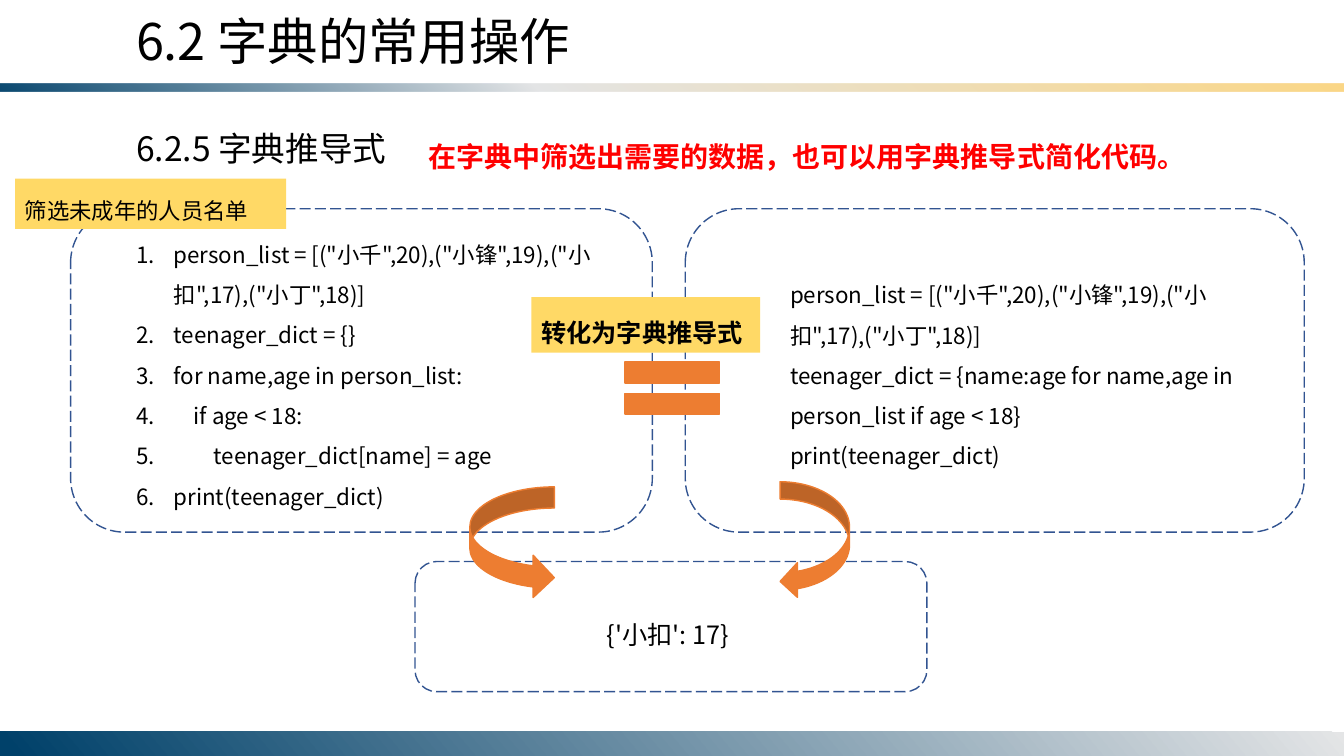
from lxml import etree
from pptx import Presentation
from pptx import util as u
from pptx.dml.color import RGBColor
from pptx.enum import dml, shapes, text
from pptx.oxml.ns import qn

FONT = "Noto Sans CJK SC"
COLORS = {
    "black": "000000",
    "red": "FF0000",
    "outline": "325491",
    "label": "FFD966",
    "accent": "ED7D31",
    "navy": "00416A",
    "grey": "E4E5E6",
    "gold": "FBD786",
}

PEOPLE = 'person_list = [("小千",20),("小锋",19),("小扣",17),("小丁",18)]'
LOOP_CODE = [
    PEOPLE,
    "teenager_dict = {}",
    "for name,age in person_list:",
    "    if age < 18:",
    "        teenager_dict[name] = age",
    "print(teenager_dict)",
]
COMPREHENSION_CODE = [
    PEOPLE,
    "teenager_dict = {name:age for name,age in person_list if age < 18}",
    "print(teenager_dict)",
]


def color(name):
    return RGBColor.from_string(COLORS[name])


def add_shape(page, kind, area, fill=None, line=None):
    shape = page.shapes.add_shape(kind, *map(u.Cm, area))
    shape.shadow.inherit = False
    if fill:
        shape.fill.solid()
        shape.fill.fore_color.rgb = color(fill)
    else:
        shape.fill.background()
    if line:
        shape.line.color.rgb = color(line)
        shape.line.width = u.Pt(1)
    else:
        shape.line.fill.background()
    return shape


def add_gradient_bar(page, area, stops, angle):
    """Each stop is (position %, colour name, opacity %); angle is clockwise."""
    bar = add_shape(page, shapes.MSO_SHAPE.RECTANGLE, area)
    bar.fill.gradient()
    bar.fill.gradient_angle = 360 - angle
    stop_list = next(bar.element.iter(qn("a:gsLst")))
    for old_stop in list(stop_list):
        stop_list.remove(old_stop)
    for position, name, opacity in stops:
        stop = etree.SubElement(stop_list, qn("a:gs"), pos=str(position * 1000))
        shade = etree.SubElement(stop, qn("a:srgbClr"), val=COLORS[name])
        if opacity < 100:
            etree.SubElement(shade, qn("a:alpha"), val=str(opacity * 1000))
    return bar


def add_panel(page, area):
    panel = add_shape(page, shapes.MSO_SHAPE.ROUNDED_RECTANGLE, area, line="outline")
    panel.line.dash_style = dml.MSO_LINE.LONG_DASH


def write_text(box, lines, size, ink="black", bold=False, spacing=1.5,
               first_indent=0, numbered=False):
    frame = box.text_frame
    frame.word_wrap = True
    frame.auto_size = text.MSO_AUTO_SIZE.SHAPE_TO_FIT_TEXT
    frame.vertical_anchor = text.MSO_ANCHOR.TOP
    for index, line in enumerate(lines):
        para = frame.paragraphs[0] if index == 0 else frame.add_paragraph()
        para.add_run().text = line
        para.alignment = text.PP_ALIGN.LEFT
        para.line_spacing = spacing
        properties = para._p.get_or_add_pPr()
        if numbered:
            properties.set("marL", str(u.Cm(0.95)))
            properties.set("indent", str(u.Cm(-0.95)))
            etree.SubElement(properties, qn("a:buFont"), typeface="+mj-lt")
            etree.SubElement(properties, qn("a:buAutoNum"), type="arabicPeriod")
        elif first_indent:
            properties.set("indent", str(u.Cm(first_indent)))
        font = para.font
        font.size = u.Pt(size)
        font.bold = bold
        font.color.rgb = color(ink)
        font.name = FONT
        etree.SubElement(font._rPr, qn("a:ea"), typeface=FONT)


def add_text(page, area, lines, size, **style):
    box = page.shapes.add_textbox(*map(u.Cm, area))
    write_text(box, lines, size, **style)


def add_label(page, area, line, size, bold=False):
    label = add_shape(page, shapes.MSO_SHAPE.RECTANGLE, area, fill="label")
    write_text(label, [line], size, bold=bold)


def add_symbol(page, kind, area):
    add_shape(page, kind, area, fill="accent", line="accent")


def main():
    deck = Presentation()
    deck.slide_width, deck.slide_height = u.Cm(33.87), u.Cm(19.05)
    page = deck.slides.add_slide(deck.slide_layouts[6])

    # Header and footer bars
    header = add_gradient_bar(
        page, (0, 2.11, 33.87, 0.2),
        [(0, "navy", 95), (40, "grey", 100), (100, "gold", 100)], 50)
    header.element.spPr.find(qn("a:xfrm")).set("flipV", "1")
    add_gradient_bar(page, (0, 18.44, 33.87, 0.61),
                     [(0, "grey", 100), (99, "navy", 100)], 140)

    # Headings
    add_text(page, (3.18, 0.13, 15.54, 1.8), ["6.2 字典的常用操作"], 36, spacing=1.0)
    add_text(page, (3.18, 3.1, 20.29, 1.27), ["6.2.5 字典推导式"], 24, spacing=1.0)
    add_text(page, (9.27, 2.97, 20.52, 1.52),
             ["在字典中筛选出需要的数据，也可以用字典推导式简化代码。"], 20,
             ink="red", bold=True, first_indent=1.27)

    # Loop version
    add_text(page, (3.18, 5.61, 12.57, 7.44), LOOP_CODE, 16, numbered=True)
    add_panel(page, (1.78, 5.26, 14.66, 8.15))

    # Shared result
    add_text(page, (15.04, 15.09, 3.81, 1.4), ["{'小扣': 17}"], 18)
    add_panel(page, (10.46, 14.15, 12.9, 3.28))
    add_label(page, (0.38, 4.5, 6.83, 1.27), "筛选未成年的人员名单", 16)

    # Comprehension version
    add_text(page, (19.66, 6.63, 12.75, 5.38), COMPREHENSION_CODE, 16)
    add_panel(page, (17.27, 5.26, 15.6, 8.15))

    # Equivalence and arrows to the result
    add_symbol(page, shapes.MSO_SHAPE.MATH_EQUAL, (15.32, 8.66, 3.25, 2.24))
    add_label(page, (13.39, 7.49, 5.77, 1.4), "转化为字典推导式", 18, bold=True)
    add_symbol(page, shapes.MSO_SHAPE.CURVED_RIGHT_ARROW, (11.84, 12.27, 2.13, 2.82))
    add_symbol(page, shapes.MSO_SHAPE.CURVED_LEFT_ARROW, (19.66, 12.14, 1.75, 2.95))

    deck.save("out.pptx")


if __name__ == "__main__":
    main()
